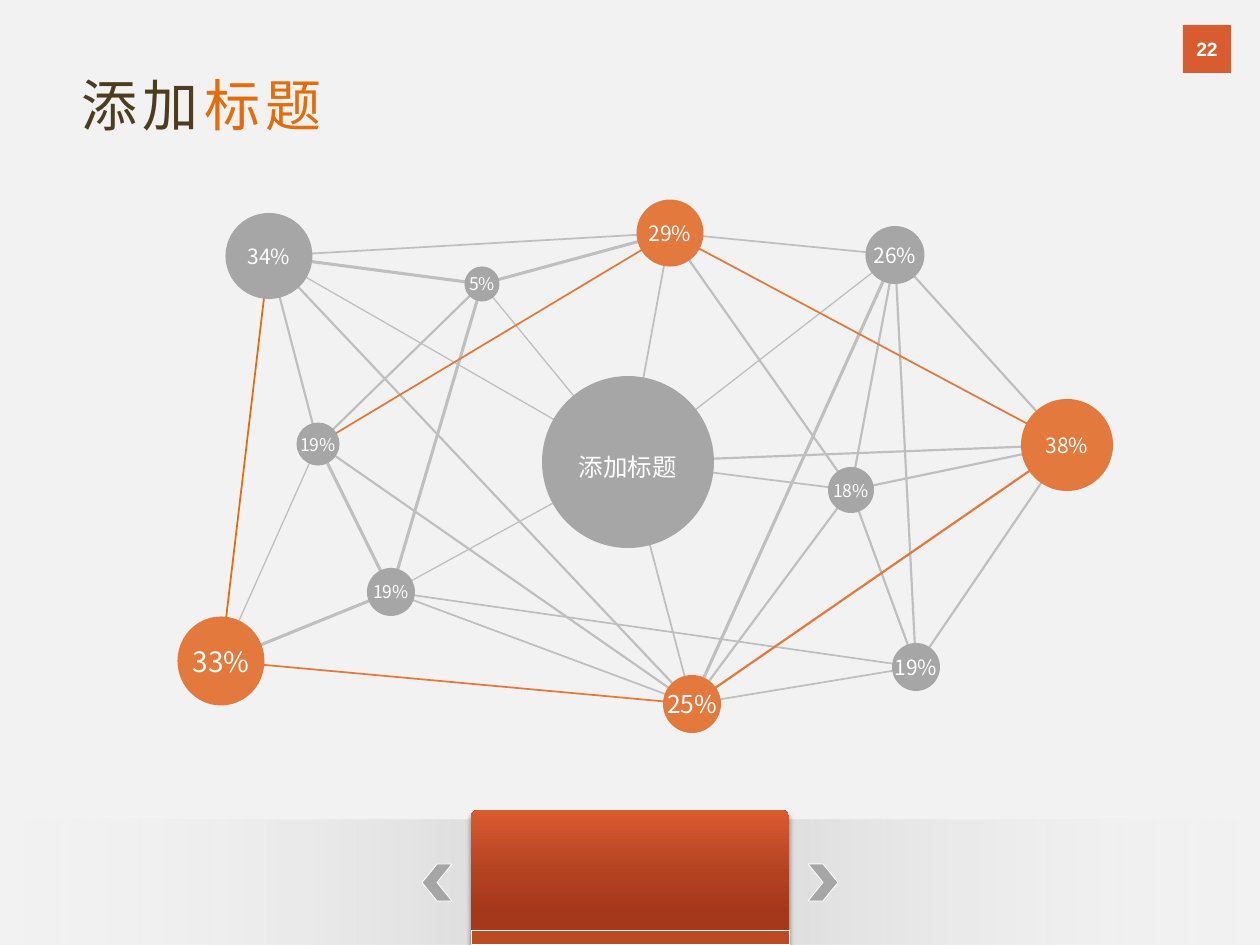
from lxml.etree import SubElement
from pptx import Presentation
from pptx.dml.color import RGBColor
from pptx.enum.shapes import MSO_CONNECTOR, MSO_SHAPE
from pptx.enum.text import MSO_ANCHOR, PP_ALIGN
from pptx.oxml import parse_xml
from pptx.oxml.ns import nsdecls, qn
from pptx.util import Emu, Pt

EMU_PER_PX = 914400 / 126
FONT = "Noto Sans CJK SC"
COLORS = {
    "background": "F2F2F2", "white": "FFFFFF", "brown": "4C3D1E", "accent": "E46C0A",
    "orange": "E3793D", "gray": "A6A6A6", "link": "BFBFBF",
    "badge": "D95B30", "strip": "BC4A22", "panel_mid": "B24120", "panel_dark": "A5381B",
}
# name: (center x, center y, width, height, fill, label, label width, label drop, font size)
NODES = {
    "right": (890, 245, 92, 92, "orange", "38%", 96, 0, 12),
    "bottom": (515, 504, 58, 58, "orange", "25%", 97, 0, 14),
    "bottom_left": (44, 461, 87, 89, "orange", "33%", 97, 0, 16),
    "left": (141, 244, 43, 43, "gray", "19%", 72, 0, 10),
    "top": (493, 33, 67, 67, "orange", "29%", 87, 0, 12),
    "hub": (451, 262, 172, 172, "gray", "添加标题", 137, 5, 14),
    "top_left": (92, 56, 87, 86, "gray", "34%", 87, 0, 12),
    "lower_left": (214, 392, 48, 48, "gray", "19%", 72, 0, 10),
    "top_right": (718, 55, 59, 58, "gray", "26%", 87, 0, 12),
    "inner_right": (674, 290, 46, 46, "gray", "18%", 97, 0, 10),
    "bottom_right": (739, 467, 48, 48, "gray", "19%", 97, 0, 12),
    "inner_top": (305, 84, 35, 35, "gray", "5%", 60, 0, 10),
}
# (color, width in points): pairs of nodes
LINKS = {
    ("link", 0.75): [
        ("top_left", "hub"), ("inner_top", "hub"), ("top_right", "hub"),
        ("left", "bottom_left"), ("lower_left", "hub")],
    ("link", 1): [
        ("top_left", "top"), ("top", "top_right"), ("top", "hub"), ("lower_left", "bottom"),
        ("lower_left", "bottom_right"), ("bottom", "hub"), ("bottom", "bottom_right"),
        ("inner_right", "hub")],
    ("link", 1.25): [
        ("top_left", "left"), ("top_left", "bottom"), ("inner_top", "left"),
        ("top", "inner_right"), ("top_right", "inner_right"), ("top_right", "right"),
        ("top_right", "bottom_right"), ("left", "bottom"), ("bottom", "inner_right"),
        ("inner_right", "right"), ("inner_right", "bottom_right"), ("right", "hub"),
        ("right", "bottom_right")],
    ("link", 1.75): [
        ("top_left", "inner_top"), ("inner_top", "top"), ("inner_top", "lower_left"),
        ("top_right", "bottom"), ("left", "lower_left"), ("lower_left", "bottom_left")],
    ("accent", 1): [("top_left", "bottom_left")],
    ("orange", 1): [("bottom_left", "bottom"), ("top", "left"), ("top", "right")],
    ("orange", 1.25): [("bottom", "right")],
}


def px(length):
    return Emu(round(length * EMU_PER_PX))


def rgb(name):
    return RGBColor.from_string(COLORS[name])


def add_text(paragraph, text, size, color, font=FONT, bold=False, spacing=0):
    run = paragraph.add_run()
    run.text = text
    run.font.size = Pt(size)
    run.font.name = font
    run.font.bold = bold
    run.font.color.rgb = rgb(color)
    properties = run.font._element
    SubElement(properties, qn("a:ea")).set("typeface", font)
    if spacing:
        properties.set("spc", str(spacing * 100))


def format_frame(shape, align, wrap=False):
    frame = shape.text_frame
    frame.word_wrap = wrap
    frame.vertical_anchor = MSO_ANCHOR.MIDDLE
    frame.paragraphs[0].alignment = align
    return frame.paragraphs[0]


def add_shape(slide, kind, left, top, width, height, fill=None, line=None, line_width=0.5):
    shape = slide.shapes.add_shape(kind, px(left), px(top), px(width), px(height))
    shape.shadow.inherit = False
    if fill:
        shape.fill.solid()
        shape.fill.fore_color.rgb = rgb(fill)
    if line:
        shape.line.color.rgb = rgb(line)
        shape.line.width = Pt(line_width)
    else:
        shape.line.fill.background()
    return shape


def set_gradient(shape, stops, angle):
    """Fill with stops of (position, color, opacity), both numbers in percent."""
    stop_xml = "".join(
        f'<a:gs pos="{position * 1000}"><a:srgbClr val="{COLORS[color]}">'
        f'<a:alpha val="{opacity * 1000}"/></a:srgbClr></a:gs>'
        for position, color, opacity in stops)
    gradient = parse_xml(
        f'<a:gradFill {nsdecls("a")} rotWithShape="1"><a:gsLst>{stop_xml}</a:gsLst>'
        f'<a:lin ang="{angle * 60000}" scaled="0"/></a:gradFill>')
    shape._element.spPr.find(qn("a:prstGeom")).addnext(gradient)


def set_shadow(shape, blur, distance, opacity):
    effects = shape._element.spPr.find(qn("a:effectLst"))
    effects.append(parse_xml(
        f'<a:outerShdw {nsdecls("a")} blurRad="{Pt(blur)}" dist="{Pt(distance)}" dir="5400000" '
        f'rotWithShape="0"><a:srgbClr val="000000"><a:alpha val="{opacity * 1000}"/>'
        '</a:srgbClr></a:outerShdw>'))


def add_footer(slide, left, top, width, height):
    band = add_shape(slide, MSO_SHAPE.RECTANGLE, left, top, width, height)
    set_gradient(band, [(0, "background", 0), (50, "link", 65), (100, "background", 0)], 180)
    center = left + width // 2
    for offset, rotation in ((193, 0), (-193, 180)):
        arrow = add_shape(slide, MSO_SHAPE.CHEVRON, center + offset - 15, top + 44, 30, 37,
                          "gray", "white")
        arrow.rotation = rotation
    panel = add_shape(slide, MSO_SHAPE.ROUNDED_RECTANGLE, center - 159, top - 10, 318, 159)
    panel.adjustments[0] = 0.04
    set_gradient(panel, [(36, "panel_dark", 100), (59, "panel_mid", 100), (100, "badge", 100)], 270)
    set_shadow(panel, blur=3, distance=2, opacity=40)
    add_shape(slide, MSO_SHAPE.RECTANGLE, center - 159, top + 110, 318, 14, "strip", "white", 0.25)


def add_page_badge(slide, left, top, width, height):
    badge = add_shape(slide, MSO_SHAPE.RECTANGLE, left, top, width, height, "badge")
    add_text(format_frame(badge, PP_ALIGN.CENTER), "22", 11, "white", font="Arial", bold=True)


def add_title(slide, left, top, width, height):
    title = slide.shapes.title
    title.left, title.top, title.width, title.height = map(px, (left, top, width, height))
    paragraph = format_frame(title, PP_ALIGN.LEFT)
    add_text(paragraph, "添加", 32, "brown", spacing=3)
    add_text(paragraph, "标题", 32, "accent", spacing=3)


def add_link(slide, start, end, color, width):
    link = slide.shapes.add_connector(MSO_CONNECTOR.STRAIGHT, *map(px, start + end))
    link.line.color.rgb = rgb(color)
    link.line.width = Pt(width)
    SubElement(link._element.spPr, qn("a:effectLst"))


def add_network(slide, left, top):
    """Draw the links between node centers, then the nodes and their labels."""
    centers = {name: (left + node[0], top + node[1]) for name, node in NODES.items()}
    for (color, width), pairs in LINKS.items():
        for start, end in pairs:
            add_link(slide, centers[start], centers[end], color, width)
    for name, (_, _, width, height, fill, label, label_width, drop, size) in NODES.items():
        x, y = centers[name]
        add_shape(slide, MSO_SHAPE.OVAL, x - width / 2, y - height / 2, width, height, fill)
        label_height = 12 + size * 2 + size // 6
        box = slide.shapes.add_textbox(px(x - label_width / 2), px(y + drop - label_height / 2),
                                       px(label_width), px(label_height))
        add_text(format_frame(box, PP_ALIGN.CENTER, wrap=True), label, size, "white")


def main():
    presentation = Presentation()
    presentation.slide_width, presentation.slide_height = px(1260), px(945)
    slide = presentation.slides.add_slide(presentation.slide_layouts[5])
    slide.background.fill.solid()
    slide.background.fill.fore_color.rgb = rgb("background")
    add_footer(slide, 0, 820, 1260, 125)
    add_page_badge(slide, 1183, 25, 48, 48)
    add_title(slide, 69, 64, 286, 81)
    add_network(slide, 177, 200)
    presentation.save("out.pptx")


if __name__ == "__main__":
    main()
